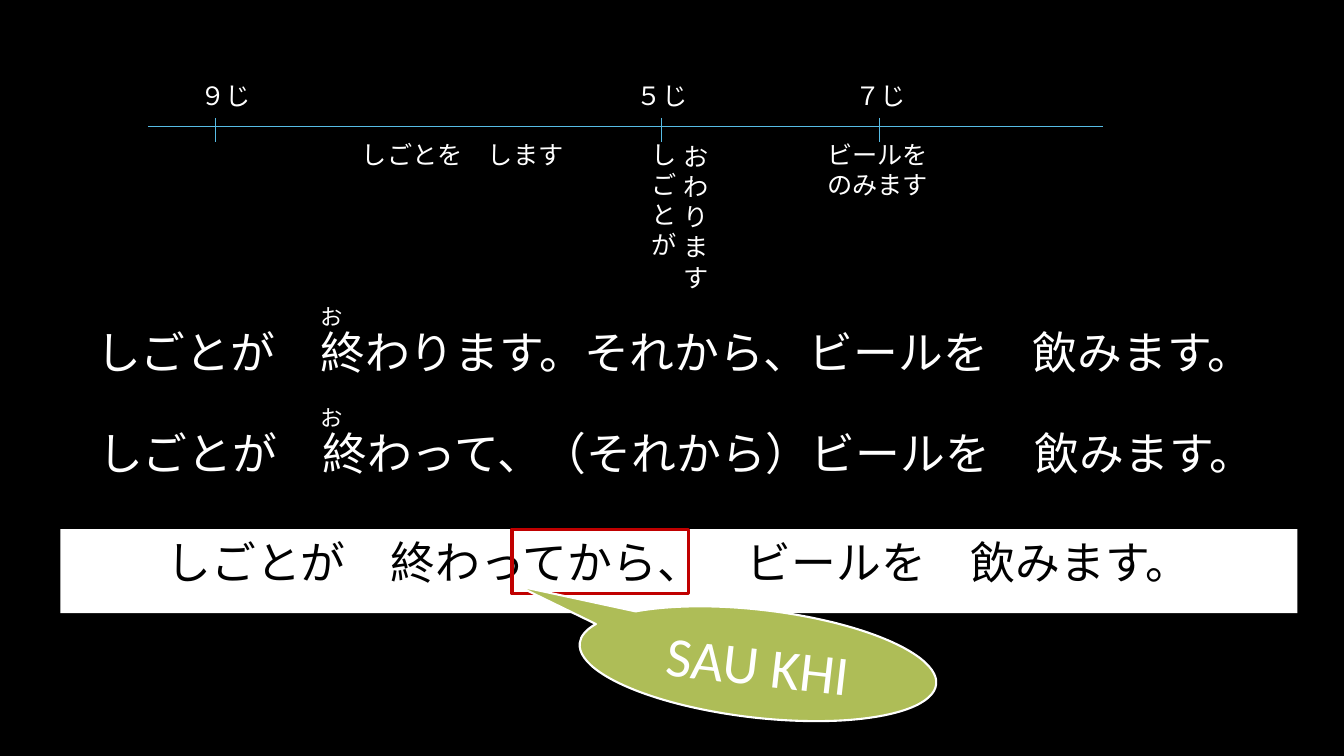
from dataclasses import dataclass
from typing import NamedTuple

from lxml.etree import SubElement
from pptx import Presentation
from pptx.dml.color import RGBColor as RGB
from pptx.enum.shapes import MSO_CONNECTOR, MSO_SHAPE
from pptx.enum.text import MSO_ANCHOR as Anchor
from pptx.enum.text import MSO_AUTO_SIZE as Fit
from pptx.enum.text import PP_ALIGN as Align
from pptx.oxml.ns import qn
from pptx.util import Pt


@dataclass(frozen=True)
class Theme:
    black: RGB = RGB(0x00, 0x00, 0x00)
    white: RGB = RGB(0xFF, 0xFF, 0xFF)
    axis: RGB = RGB(0x57, 0xBC, 0xE5)
    accent: RGB = RGB(0xC0, 0x00, 0x00)
    bubble: RGB = RGB(0xAE, 0xBD, 0x57)
    label_font: str = "Cambria"
    sentence_font: str = "Arial"
    bubble_font: str = "Calibri"
    reading: int = 16
    label: int = 18
    sentence: int = 32
    callout: int = 40


class Box(NamedTuple):
    left: float
    top: float
    width: float
    height: float


class Hour(NamedTuple):
    text: str
    tick_x: float
    label_left: float


class Caption(NamedTuple):
    text: str
    box: Box


class Sentence(NamedTuple):
    text: str
    left: float
    top: float
    reading_width: float


THEME = Theme()
AXIS_Y = 90
SENTENCE_W, SENTENCE_H = 883.44, 46.08
READING_LEFT, READING_RISE, READING_H = 221.76, 15.12, 26.64
PATTERN_TOP = 378

HOURS = [
    Hour("９じ", 154.08, 136.08),
    Hour("５じ", 472.32, 447.84),
    Hour("７じ", 627.84, 604.08),
]
CAPTIONS = [
    Caption("しごとを　します", Box(195.84, 95.76, 269.28, 28.8)),
    Caption("\n".join("しごとが"), Box(447.84, 95.76, 52.56, 94.32)),
    Caption("\n".join("おわります"), Box(470.88, 97.2, 52.56, 116.64)),
    Caption("ビールを\vのみます", Box(544.32, 95.76, 164.88, 51.12)),
]
SENTENCES = [
    Sentence("しごとが　終わります。それから、ビールを　飲みます。", 40.32, 228.24, 176.4),
    Sentence("しごとが　終わって、（それから）ビールを　飲みます。", 41.76, 300.24, 182.16),
]


def write(sp, text: str, *, size: int, font: str, color: RGB = THEME.white,
          align: Align = Align.CENTER, anchor: Anchor = Anchor.TOP,
          fit: Fit = Fit.SHAPE_TO_FIT_TEXT) -> None:
    tf = sp.text_frame
    tf.text = text
    tf.word_wrap = True
    tf.auto_size = fit
    tf.vertical_anchor = anchor
    for p in tf.paragraphs:
        p.alignment = align
        for r in p.runs:
            r.font.size = Pt(size)
            r.font.name = font
            r.font.color.rgb = color


def add_label(s, text: str, box: Box, **fmt) -> None:
    write(s.shapes.add_textbox(*map(Pt, box)), text, **fmt)


def add_line(s, x1: float, y1: float, x2: float, y2: float) -> None:
    line = s.shapes.add_connector(MSO_CONNECTOR.STRAIGHT, *map(Pt, (x1, y1, x2, y2)))
    line.line.color.rgb = THEME.axis
    line.line.width = Pt(0.5)
    SubElement(line._element.spPr, qn("a:effectLst"))


def add_outlined(s, kind: MSO_SHAPE, box: Box, color: RGB, width: float):
    sp = s.shapes.add_shape(kind, *map(Pt, box))
    sp.shadow.inherit = False
    sp.fill.background()
    sp.line.color.rgb = color
    sp.line.width = Pt(width)
    return sp


def add_timeline(s) -> None:
    add_line(s, 105.84, AXIS_Y, 787.68, AXIS_Y)
    for hour in HOURS:
        add_line(s, hour.tick_x, 84.24, hour.tick_x, 101.52)
        add_label(s, hour.text, Box(hour.label_left, 54, 67.68, 28.8),
                  size=THEME.label, font=THEME.label_font, align=Align.LEFT)
    for caption in CAPTIONS:
        add_label(s, caption.text, caption.box, size=THEME.label, font=THEME.label_font)


def add_sentences(s) -> None:
    for item in SENTENCES:
        add_label(s, item.text, Box(item.left, item.top, SENTENCE_W, SENTENCE_H),
                  size=THEME.sentence, font=THEME.sentence_font)
        add_label(s, "お", Box(READING_LEFT, item.top - READING_RISE,
                              item.reading_width, READING_H),
                  size=THEME.reading, font=THEME.sentence_font, align=Align.LEFT)


def add_pattern(s) -> None:
    title = s.shapes.title
    title.left, title.top, title.width, title.height = map(
        Pt, (43.2, PATTERN_TOP, SENTENCE_W, SENTENCE_H))
    title.fill.solid()
    title.fill.fore_color.rgb = THEME.white
    write(title, "しごとが　終わってから、　ビールを　飲みます。",
          size=THEME.sentence, font=THEME.sentence_font, color=THEME.black)
    add_outlined(s, MSO_SHAPE.RECTANGLE, Box(365.76, PATTERN_TOP, 126, SENTENCE_H),
                 THEME.accent, 2.25)
    bubble = add_outlined(s, MSO_SHAPE.OVAL_CALLOUT, Box(413.28, 435.6, 256.32, 77.04),
                          THEME.white, 1.5)
    bubble.fill.solid()
    bubble.fill.fore_color.rgb = THEME.bubble
    bubble.rotation = 6.6
    bubble.adjustments[0] = -0.69
    bubble.adjustments[1] = -0.46
    write(bubble, "SAU KHI", size=THEME.callout, font=THEME.bubble_font,
          anchor=Anchor.MIDDLE, fit=Fit.NONE)


def main() -> None:
    prs = Presentation()
    prs.slide_width, prs.slide_height = Pt(960), Pt(540)
    s = prs.slides.add_slide(prs.slide_layouts.get_by_name("Title Only"))
    s.background.fill.solid()
    s.background.fill.fore_color.rgb = THEME.black
    add_timeline(s)
    add_sentences(s)
    add_pattern(s)
    prs.save("out.pptx")


if __name__ == "__main__":
    main()
